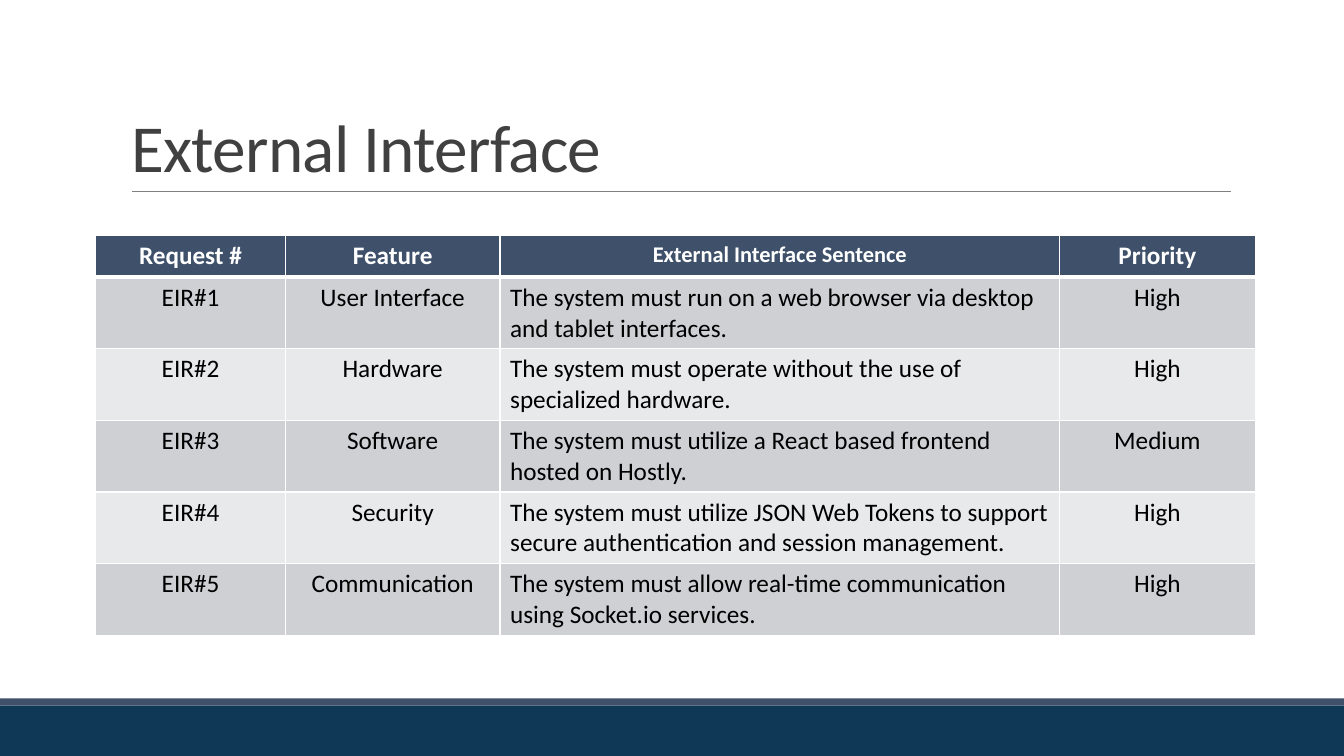
from lxml.etree import SubElement
from pptx import Presentation
from pptx.dml.color import RGBColor
from pptx.enum.shapes import MSO_CONNECTOR, MSO_SHAPE
from pptx.enum.text import MSO_ANCHOR, MSO_AUTO_SIZE, PP_ALIGN
from pptx.oxml.ns import qn
from pptx.util import Inches, Pt

NAVY = RGBColor(0x0F, 0x37, 0x56)
SLATE = RGBColor(0x3E, 0x50, 0x6A)
RULE_GRAY = RGBColor(0x80, 0x80, 0x80)
TITLE_GRAY = RGBColor(0x40, 0x40, 0x40)
DARK_BAND = RGBColor(0xCE, 0xD0, 0xD4)
LIGHT_BAND = RGBColor(0xE8, 0xE9, 0xEB)
WHITE = RGBColor(0xFF, 0xFF, 0xFF)
BLACK = RGBColor(0x00, 0x00, 0x00)
FONT = "Calibri"

HEADERS = ["Request #", "Feature", "External Interface Sentence", "Priority"]
REQUESTS = [
    ("User Interface", "The system must run on a web browser via desktop and tablet interfaces.", "High"),
    ("Hardware", "The system must operate without the use of specialized hardware.", "High"),
    ("Software", "The system must utilize a React based frontend hosted on Hostly.", "Medium"),
    ("Security", "The system must utilize JSON Web Tokens to support secure authentication "
                 "and session management.", "High"),
    ("Communication", "The system must allow real-time communication using Socket.io services.", "High"),
]
COLUMN_WIDTHS = [1.88, 2.13, 5.55, 1.94]
SENTENCE_COLUMN = 2


def add_footer(page, left, top, width, height):
    """Draw the navy footer with its thin slate strip on top."""
    strip = 0.07
    bands = [(top + strip, height - strip, NAVY), (top, strip, SLATE)]
    for band_top, band_height, color in bands:
        band = page.shapes.add_shape(MSO_SHAPE.RECTANGLE, Inches(left), Inches(band_top),
                                     Inches(width), Inches(band_height))
        band.shadow.inherit = False
        band.fill.solid()
        band.fill.fore_color.rgb = color
        band.line.fill.background()


def add_title(page, text, left, top, width, height):
    """Fill the title placeholder and underline it with a rule."""
    title = page.shapes.title
    title.left, title.top = Inches(left), Inches(top)
    title.width, title.height = Inches(width), Inches(height)
    frame = title.text_frame
    frame.word_wrap = True
    frame.auto_size = MSO_AUTO_SIZE.NONE
    frame.vertical_anchor = MSO_ANCHOR.BOTTOM
    para = frame.paragraphs[0]
    span = para.add_run()
    span.text = text
    span.font._element.set("spc", "-50")
    para.alignment = PP_ALIGN.LEFT
    para.line_spacing = 0.85
    para.font.name = FONT
    para.font.size = Pt(48)
    para.font.color.rgb = TITLE_GRAY

    bottom = Inches(top + height)
    rule = page.shapes.add_connector(MSO_CONNECTOR.STRAIGHT, Inches(left + 0.11), bottom,
                                     Inches(left + width + 0.01), bottom)
    rule.line.color.rgb = RULE_GRAY
    rule.line.width = Pt(0.5)
    SubElement(rule._element.spPr, qn("a:effectLst"))


def add_borders(cell, top_width, bottom_width):
    """Give a cell white borders, with the top and bottom widths in points."""
    properties = cell._tc.get_or_add_tcPr()
    for side, width in [("L", 1), ("R", 1), ("T", top_width), ("B", bottom_width)]:
        border = SubElement(properties, qn(f"a:ln{side}"), w=str(Pt(width)))
        fill = SubElement(border, qn("a:solidFill"))
        SubElement(fill, qn("a:srgbClr"), val=str(WHITE))


def fill_cell(cell, text, row, column):
    """Write and format one cell according to its row and column."""
    is_header = row == 0
    is_sentence = column == SENTENCE_COLUMN
    add_borders(cell, 3 if row == 1 else 1, 3 if is_header else 1)
    cell.fill.solid()
    cell.fill.fore_color.rgb = SLATE if is_header else DARK_BAND if row % 2 else LIGHT_BAND
    cell.text = text
    para = cell.text_frame.paragraphs[0]
    para.alignment = PP_ALIGN.LEFT if is_sentence and not is_header else PP_ALIGN.CENTER
    para.font.name = FONT
    para.font.size = Pt(16 if is_sentence and is_header else 18)
    para.font.bold = is_header
    para.font.color.rgb = WHITE if is_header else BLACK


def add_request_table(page, left, top, width, height):
    """Lay out the numbered interface requests under a header row."""
    rows = [HEADERS] + [(f"EIR#{number}", *request) for number, request in enumerate(REQUESTS, 1)]
    table = page.shapes.add_table(len(rows), len(HEADERS), Inches(left), Inches(top),
                                  Inches(width), Inches(height)).table
    for column, column_width in zip(table.columns, COLUMN_WIDTHS):
        column.width = Inches(column_width)
    header_height = 0.41
    for index, texts in enumerate(rows):
        row_height = (height - header_height) / len(REQUESTS) if index else header_height
        table.rows[index].height = Inches(row_height)
        for column, text in enumerate(texts):
            fill_cell(table.cell(index, column), text, index, column)


def main():
    """Build the External Interface slide and save the deck."""
    deck = Presentation()
    deck.slide_width, deck.slide_height = Inches(13.33), Inches(7.5)
    page = deck.slides.add_slide(deck.slide_layouts[5])
    add_footer(page, 0, 6.93, 13.33, 0.57)
    add_title(page, "External Interface", 1.2, 0.31, 11, 1.59)
    add_request_table(page, 0.95, 2.34, sum(COLUMN_WIDTHS), 3.91)
    deck.save("out.pptx")


if __name__ == "__main__":
    main()
